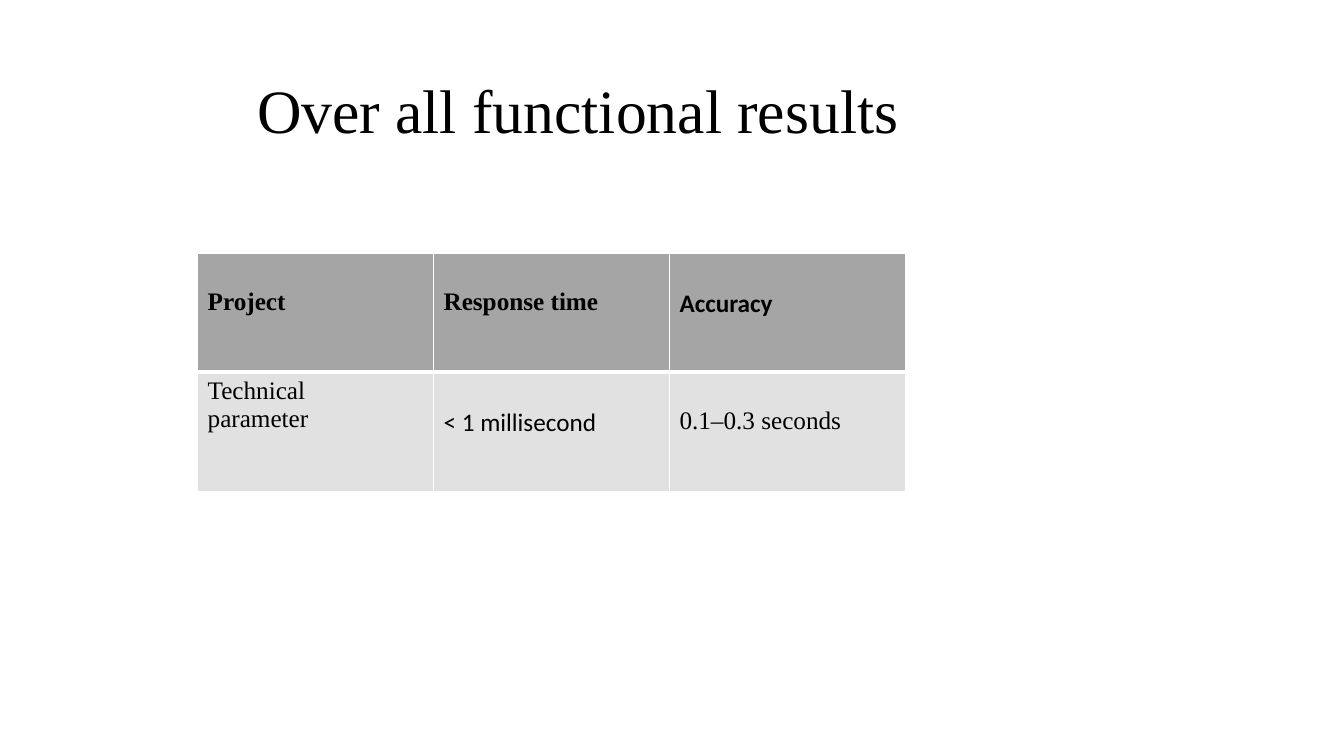
"""Build a slide with a title and a table of functional results."""
from dataclasses import dataclass

from lxml import etree
from pptx import Presentation
from pptx.dml.color import RGBColor
from pptx.enum.text import MSO_ANCHOR
from pptx.oxml.ns import qn
from pptx.slide import Slide
from pptx.table import _Cell
from pptx.text.text import _Paragraph
from pptx.util import Inches, Pt

MIDDLE = MSO_ANCHOR.MIDDLE


@dataclass(frozen=True)
class Theme:
    """Hold the colours, fonts and type sizes."""
    ink: str = "000000"
    rule: str = "FFFFFF"
    head: str = "A5A5A5"
    body: str = "E1E1E1"
    serif: str = "Times New Roman"
    sans: str = "Calibri"
    title: int = 44
    text: int = 18


THEME = Theme()


@dataclass(frozen=True)
class Entry:
    """Describe one table cell."""
    lines: tuple[str, ...]
    face: str = THEME.serif
    top: float = 0.35


@dataclass(frozen=True)
class Row:
    """Describe one table row with its rule widths in points."""
    cells: tuple[Entry, ...]
    tall: float
    fill: str
    bold: bool
    above: int
    below: int


ROWS = (
    Row((Entry(("Project",)), Entry(("Response time",)),
         Entry(("Accuracy",), THEME.sans)), 1.18, THEME.head, True, 1, 3),
    Row((Entry(("Technical", "parameter"), top=0.05),
         Entry(("< 1 millisecond",), THEME.sans),
         Entry(("0.1–0.3 seconds",))), 1.19, THEME.body, False, 3, 1),
)


def style(para: _Paragraph, face: str, size: int, bold: bool = False) -> None:
    """Set the font of a paragraph."""
    form = {"name": face, "size": Pt(size), "bold": bold}
    for key, value in form.items():
        setattr(para.font, key, value)
    para.font.color.rgb = RGBColor.from_string(THEME.ink)


def edge(cell: _Cell, above: int, below: int) -> None:
    """Draw the four borders of a cell."""
    props = cell._tc.get_or_add_tcPr()
    sides = {"a:lnL": 1, "a:lnR": 1, "a:lnT": above, "a:lnB": below}
    for spot, (tag, width) in enumerate(sides.items()):
        line = etree.Element(qn(tag), w=str(Pt(width)))
        fill = etree.SubElement(line, qn("a:solidFill"))
        etree.SubElement(fill, qn("a:srgbClr"), val=THEME.rule)
        props.insert(spot, line)


def fill_cell(cell: _Cell, entry: Entry, row: Row) -> None:
    """Put the text, fill and borders in a cell."""
    cell.margin_top = Inches(entry.top)
    cell.fill.solid()
    cell.fill.fore_color.rgb = RGBColor.from_string(row.fill)
    cell.text_frame.text = "\n".join(entry.lines)
    for para in cell.text_frame.paragraphs:
        style(para, entry.face, THEME.text, row.bold)
    edge(cell, row.above, row.below)


def add_title(slide: Slide, text: str) -> None:
    """Add the slide title."""
    box = slide.shapes.add_textbox(
        Inches(0.92), Inches(0.4), Inches(11.5), Inches(1.45))
    frame = box.text_frame
    form = {"word_wrap": True, "vertical_anchor": MIDDLE,
            "margin_left": Inches(1.63)}
    for key, value in form.items():
        setattr(frame, key, value)
    para = frame.paragraphs[0]
    para.text = text
    para.line_spacing = 0.9
    style(para, THEME.serif, THEME.title)


def add_grid(slide: Slide, rows: tuple[Row, ...]) -> None:
    """Add the table of results."""
    count = len(rows[0].cells)
    table = slide.shapes.add_table(
        len(rows), count, Inches(1.96), Inches(2.51), Inches(2.34 * count),
        Inches(sum(row.tall for row in rows))).table
    for down, row in enumerate(rows):
        table.rows[down].height = Inches(row.tall)
        for across, entry in enumerate(row.cells):
            fill_cell(table.cell(down, across), entry, row)


def main() -> None:
    """Build and save the slide."""
    deck = Presentation()
    deck.slide_width, deck.slide_height = Inches(13.33), Inches(7.5)
    slide = deck.slides.add_slide(deck.slide_layouts[6])
    add_title(slide, "Over all functional results")
    add_grid(slide, ROWS)
    deck.save("out.pptx")


if __name__ == "__main__":
    main()
